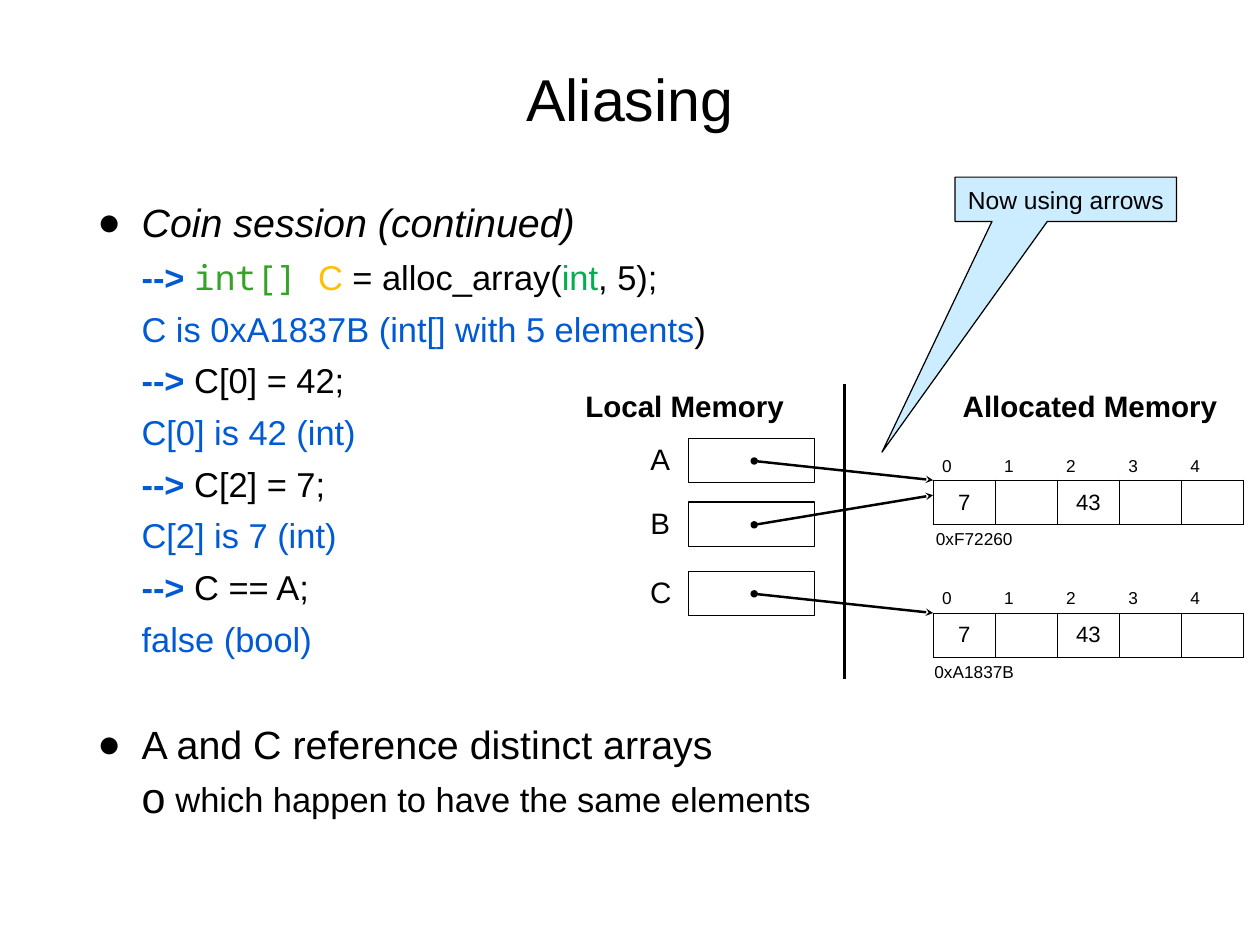
import pptx
import pptx.dml.color
import pptx.enum.shapes
import pptx.enum.text
import pptx.oxml
import pptx.oxml.ns
import pptx.util

Cm = pptx.util.Cm
Pt = pptx.util.Pt
RGBColor = pptx.dml.color.RGBColor
Align = pptx.enum.text.PP_ALIGN
Anchor = pptx.enum.text.MSO_ANCHOR
Shape = pptx.enum.shapes.MSO_SHAPE

BLACK = RGBColor(0x00, 0x00, 0x00)
BLUE = RGBColor(0x00, 0x5A, 0xD4)
TYPE_GREEN = RGBColor(0x34, 0xA3, 0x27)
ARGUMENT_GREEN = RGBColor(0x00, 0xB0, 0x50)
AMBER = RGBColor(0xFF, 0xC0, 0x00)
CALLOUT_BLUE = RGBColor(0xCC, 0xEC, 0xFF)

PROMPT = ("--> ", {"color": BLUE, "bold": True})
SESSION = [
    [PROMPT, ("int[] ", {"color": TYPE_GREEN, "font": "Noto Sans Mono"}),
     ("C ", {"color": AMBER}), ("= alloc_array(", {}),
     ("int", {"color": ARGUMENT_GREEN}), (", 5);", {})],
    [("C is 0xA1837B (int[] with 5 elements", {"color": BLUE}), (")", {})],
    [PROMPT, ("C[0] = 42;", {})],
    [("C[0] is 42 (int)", {"color": BLUE})],
    [PROMPT, ("C[2] = 7;", {})],
    [("C[2] is 7 (int)", {"color": BLUE})],
    [PROMPT, ("C == A;", {})],
    [("false (bool)", {"color": BLUE})],
]

COLUMN_WIDTH, ROW_HEIGHT = 1.78, 1.27
ARRAY_LEFT = 26.75
ARRAY_VALUES = ["7", "", "43", "", ""]
ARRAYS = [(12.5, "0xF72260"), (16.31, "0xA1837B")]
# Variable name, top of its cell, height at which its arrow ends
POINTERS = [("A", 12.57, 13.77), ("B", 14.4, 14.2), ("C", 16.38, 17.58)]


def add_xml(parent, markup):
    element = pptx.oxml.parse_xml(
        markup.replace(">", f' {pptx.oxml.ns.nsdecls("a")}>', 1)
        if not markup.split(">", 1)[0].endswith("/")
        else markup.replace("/>", f' {pptx.oxml.ns.nsdecls("a")}/>', 1))
    parent.append(element)


def add_span(para, text, size=28, color=BLACK, bold=False, italic=False, font="Arial"):
    span = para.add_run()
    span.text = text
    span.font.name = font
    span.font.size = Pt(size)
    span.font.bold = bold
    span.font.italic = italic
    span.font.color.rgb = color


def set_frame(frame, anchor=Anchor.MIDDLE, wrap=True, inset=0.15):
    frame.word_wrap = wrap
    frame.vertical_anchor = anchor
    frame.margin_left = frame.margin_right = Cm(inset)
    frame.margin_top = frame.margin_bottom = Cm(inset)


def add_label(page, text, left, top, width, height, wrap=False, **style):
    box = page.shapes.add_textbox(Cm(left), Cm(top), Cm(width), Cm(height))
    set_frame(box.text_frame, wrap=wrap)
    para = box.text_frame.paragraphs[0]
    para.alignment = Align.CENTER
    add_span(para, text, **style)


def add_item(para, spans, margin, hang, before=0.0, bullet=None, bullet_scale=100):
    """Fill a hanging paragraph, with a bullet if one is given."""
    properties = para._p.get_or_add_pPr()
    properties.set("marL", str(Cm(margin)))
    properties.set("indent", str(-Cm(hang)))
    if bullet:
        add_xml(properties, f'<a:buSzPct val="{bullet_scale * 1000}"/>')
        add_xml(properties, '<a:buFont typeface="Arial"/>')
        add_xml(properties, f'<a:buChar char="{bullet}"/>')
    else:
        add_xml(properties, "<a:buNone/>")
    para.space_before = Pt(before)
    for text, style in spans:
        add_span(para, text, **style)


def add_body(page):
    box = page.shapes.add_textbox(Cm(2.64), Cm(5.54), Cm(30.84), Cm(20.75))
    frame = box.text_frame
    set_frame(frame, anchor=Anchor.TOP)
    main_level = {"margin": 1.27, "hang": 1.27, "bullet": "●"}
    sub_level = {"margin": 2.24, "hang": 0.97, "before": 8.4}
    add_item(frame.paragraphs[0],
             [("Coin session (continued)", {"size": 32, "italic": True})], **main_level)
    for spans in SESSION:
        add_item(frame.add_paragraph(), spans, **sub_level)
    add_item(frame.add_paragraph(),
             [("A and C reference distinct arrays", {"size": 32})], before=50, **main_level)
    add_item(frame.add_paragraph(), [("which happen to have the same elements", {})],
             bullet="o", bullet_scale=125, **sub_level)


def add_preset(page, kind, left, top, width, height, fill=None):
    shape = page.shapes.add_shape(kind, Cm(left), Cm(top), Cm(width), Cm(height))
    shape.shadow.inherit = False
    if fill is None:
        shape.fill.background()
    else:
        shape.fill.solid()
        shape.fill.fore_color.rgb = fill
    shape.line.color.rgb = BLACK
    shape.line.width = Pt(1)
    return shape


def add_line(page, start, end, width, arrow=False):
    line = page.shapes.add_connector(
        pptx.enum.shapes.MSO_CONNECTOR.STRAIGHT, *map(Cm, start), *map(Cm, end))
    line.line.color.rgb = BLACK
    line.line.width = Pt(width)
    if arrow:
        outline = line.line._get_or_add_ln()
        add_xml(outline, '<a:headEnd type="oval"/>')
        add_xml(outline, '<a:tailEnd type="stealth"/>')
    add_xml(line._element.spPr, "<a:effectLst/>")


def set_borders(cell, black_sides):
    properties = cell._tc.get_or_add_tcPr()
    for side in "LRTB":
        paint = ('<a:solidFill><a:srgbClr val="000000"/></a:solidFill>'
                 if side in black_sides else "<a:noFill/>")
        add_xml(properties, f'<a:ln{side} w="{Pt(1)}">{paint}</a:ln{side}>')


def add_array(page, top, address):
    """Draw an array: indices, then bordered values, then its address."""
    count = len(ARRAY_VALUES)
    table = page.shapes.add_table(2, count, Cm(ARRAY_LEFT), Cm(top),
                                  Cm(COLUMN_WIDTH * count), Cm(ROW_HEIGHT * 2)).table
    table.first_row = table.horz_banding = False
    for row in table.rows:
        row.height = Cm(ROW_HEIGHT)
    for index, value in enumerate(ARRAY_VALUES):
        table.columns[index].width = Cm(COLUMN_WIDTH)
        for row, text, size, align, anchor, sides in (
                (0, str(index), 14, Align.LEFT, Anchor.BOTTOM, "B"),
                (1, value, 18, Align.CENTER, Anchor.MIDDLE, "LRTB")):
            cell = table.cell(row, index)
            set_borders(cell, sides)
            cell.fill.background()
            cell.vertical_anchor = anchor
            para = cell.text_frame.paragraphs[0]
            para.alignment = align
            if text:
                add_span(para, text, size=size)
    add_label(page, address, 26.55, top + 2.51, 2.76, 0.86, size=14)


def add_pointer(page, name, top, target):
    add_label(page, name, 18.49, top - 0.08, 0.88, 1.32, size=24)
    add_preset(page, Shape.RECTANGLE, 19.74, top, 3.61, 1.27)
    add_line(page, (21.62, top + 0.65), (ARRAY_LEFT, target), 2, arrow=True)


def add_callout(page, text):
    callout = add_preset(page, Shape.RECTANGULAR_CALLOUT, 27.38, 5.08, 6.35, 1.27,
                         fill=CALLOUT_BLUE)
    callout.adjustments[0] = -0.83
    callout.adjustments[1] = 5.71
    set_frame(callout.text_frame, inset=0.13)
    para = callout.text_frame.paragraphs[0]
    para.alignment = Align.CENTER
    add_span(para, text, size=20)


def main():
    deck = pptx.Presentation()
    deck.slide_width, deck.slide_height = Cm(36.12), Cm(27.1)
    page = deck.slides.add_slide(deck.slide_layouts[6])
    add_label(page, "Aliasing", 2.64, 0.71, 30.84, 4.17, wrap=True, size=48)
    add_body(page)
    add_label(page, "Local Memory", 16.59, 11, 6.07, 1.27, size=24, bold=True)
    add_label(page, "Allocated Memory", 27.41, 11, 7.67, 1.27, size=24, bold=True)
    add_line(page, (24.21, 19.48), (24.21, 11.02), 3)
    for top, address in ARRAYS:
        add_array(page, top, address)
    for name, top, target in POINTERS:
        add_pointer(page, name, top, target)
    add_callout(page, "Now using arrows")
    deck.save("out.pptx")


if __name__ == "__main__":
    main()
